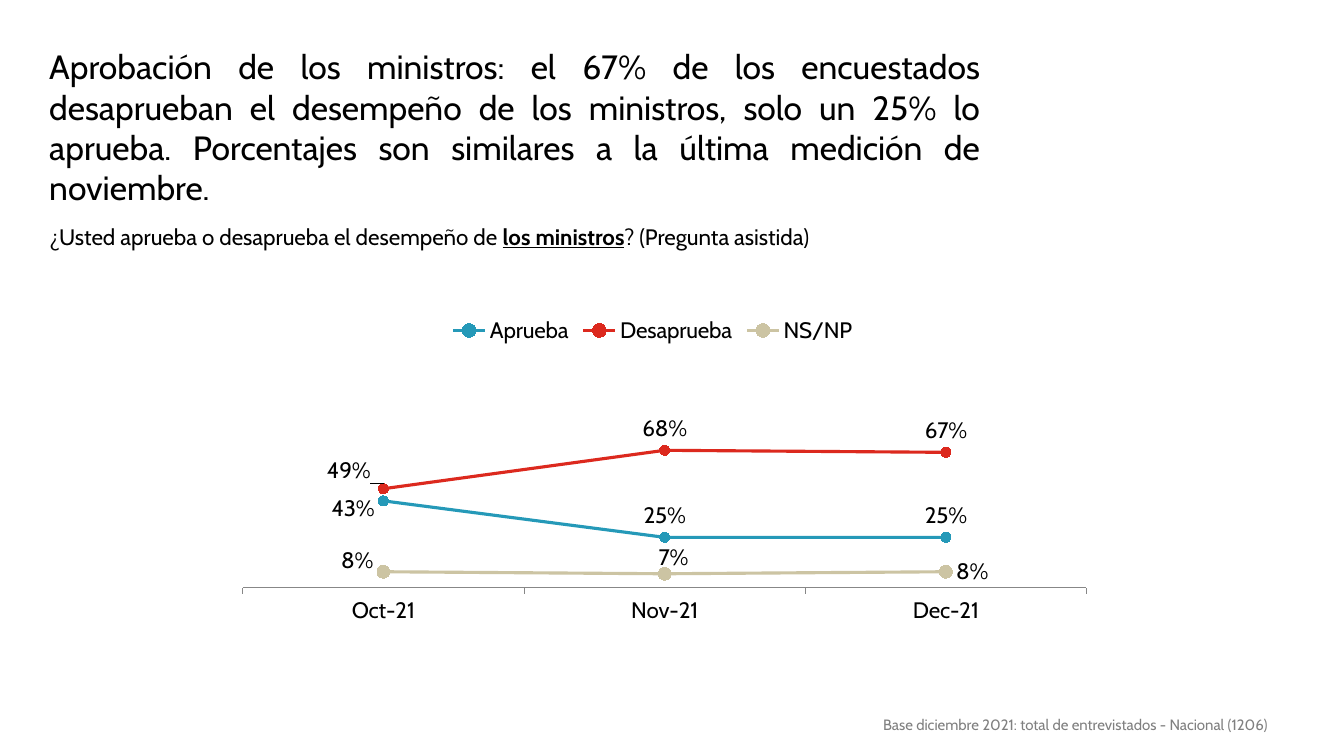
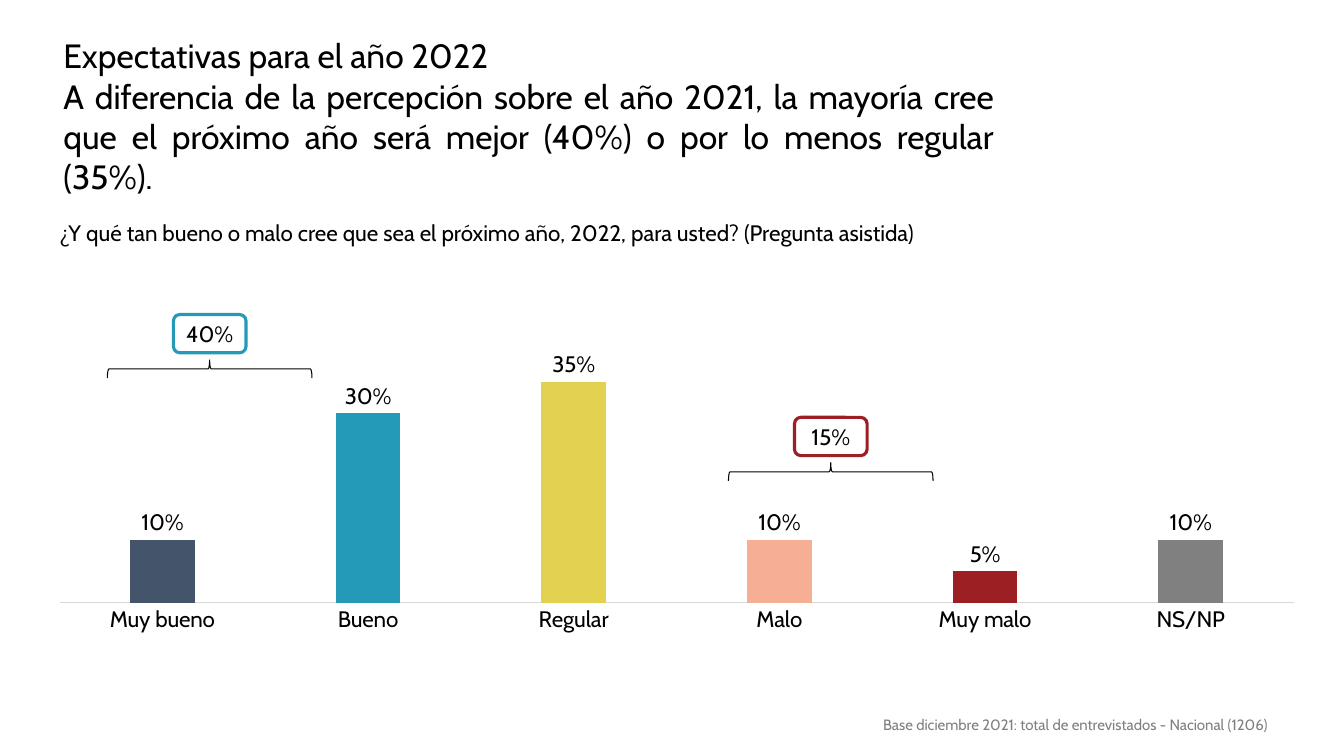
from dataclasses import dataclass

import pptx
import pptx.chart.data
import pptx.dml.color
import pptx.enum.chart
import pptx.enum.shapes
import pptx.enum.text
import pptx.oxml
import pptx.oxml.ns
import pptx.util

Inches = pptx.util.Inches
Pt = pptx.util.Pt
XL = pptx.enum.chart
LABEL = XL.XL_LABEL_POSITION
SHAPE = pptx.enum.shapes.MSO_SHAPE
ALIGN = pptx.enum.text.PP_ALIGN


@dataclass(frozen=True)
class Theme:
    font: str = "Cabin"
    black: str = "000000"
    white: str = "FFFFFF"
    gray: str = "808080"
    axis: str = "878787"
    pale_axis: str = "D9D9D9"
    navy: str = "44546A"
    blue: str = "2599B8"
    yellow: str = "E2D250"
    salmon: str = "F6AF95"
    red: str = "DC291E"
    dark_red: str = "9B1F23"
    sand: str = "CCC4A3"
    title_size: float = 24
    body_size: float = 16
    footer_size: float = 10.7


THEME = Theme()


@dataclass(frozen=True)
class Run:
    text: str
    strong: bool = False


@dataclass(frozen=True)
class LabelPlace:
    """Position of one point label, with a shift in fractions of the chart."""
    point: int
    position: LABEL
    dx: float = 0
    dy: float = 0


@dataclass(frozen=True)
class Trend:
    name: str
    values: tuple[float, ...]
    color: str
    marker_size: int
    places: tuple[LabelPlace, ...]


@dataclass(frozen=True)
class Bar:
    name: str
    value: float
    color: str


@dataclass(frozen=True)
class Bracket:
    """Sum of two neighbouring bars, centred on x, y."""
    text: str
    x: float
    y: float
    color: str


FOOTER = "Base diciembre 2021: total de entrevistados - Nacional (1206)"

MONTHS = ("Oct-21", "Nov-21", "Dec-21")
TRENDS = (
    Trend("Aprueba", (0.43, 0.25, 0.25), THEME.blue, 7,
          (LabelPlace(0, LABEL.LEFT, 0, 0.02),)),
    Trend("Desaprueba", (0.49, 0.68, 0.67), THEME.red, 7,
          (LabelPlace(0, LABEL.ABOVE, -0.04, 0.01),)),
    Trend("NS/NP", (0.08, 0.07, 0.08), THEME.sand, 9,
          (LabelPlace(0, LABEL.LEFT, 0, -0.03),
           LabelPlace(1, LABEL.ABOVE, 0.01, 0.02),
           LabelPlace(2, LABEL.RIGHT))),
)
BARS = (
    Bar("Muy bueno", 0.10, THEME.navy),
    Bar("Bueno", 0.30, THEME.blue),
    Bar("Regular", 0.35, THEME.yellow),
    Bar("Malo", 0.10, THEME.salmon),
    Bar("Muy malo", 0.05, THEME.dark_red),
    Bar("NS/NP", 0.10, THEME.gray),
)
BRACKETS = (
    Bracket("40%", 2.08, 3.31, THEME.blue),
    Bracket("15%", 8.24, 4.33, THEME.dark_red),
)


def rgb(color: str):
    return pptx.dml.color.RGBColor.from_string(color)


def style_font(font, size: float, color: str = THEME.black) -> None:
    font.name = THEME.font
    font.size = Pt(size)
    font.color.rgb = rgb(color)


def set_fill(fill, color: str) -> None:
    fill.solid()
    fill.fore_color.rgb = rgb(color)


def set_line(line, color: str, width: float) -> None:
    set_fill(line.fill, color)
    line.width = Pt(width)


def add_text(s, box, paragraphs, size, color=THEME.black, align=ALIGN.LEFT,
             spacing=None) -> None:
    """Add a text box; each paragraph is a sequence of runs."""
    tf = s.shapes.add_textbox(*map(Inches, box)).text_frame
    tf.word_wrap = True
    for i, runs in enumerate(paragraphs):
        p = tf.add_paragraph() if i else tf.paragraphs[0]
        p.alignment = align
        p.line_spacing = spacing
        style_font(p.font, size, color)
        for run in runs:
            r = p.add_run()
            r.text = run.text
            if run.strong:
                r.font.bold = r.font.underline = True


def add_slide(prs, left, top, title, question_box, question):
    """Add a slide with its title paragraphs, survey question and footer."""
    s = prs.slides.add_slide(prs.slide_layouts[6])
    add_text(s, (8.66, 7.07, 4.2, 0.26), [[Run(FOOTER)]], THEME.footer_size,
             THEME.gray, ALIGN.JUSTIFY, 0.9)
    add_text(s, (left, top, 9.43, 1.74), [[Run(t)] for t in title],
             THEME.title_size, align=ALIGN.JUSTIFY)
    add_text(s, question_box, [question], THEME.body_size)
    return s


def make_layout(x, y, w=None, h=None, inner=False, edge=True):
    parts = ['<c:layoutTarget val="inner"/>'] if inner else []
    if edge:
        parts += ['<c:xMode val="edge"/>', '<c:yMode val="edge"/>']
    parts += [f'<c:{tag} val="{value}"/>'
              for tag, value in zip("xywh", (x, y, w, h)) if value is not None]
    return pptx.oxml.parse_xml(
        f'<c:layout {pptx.oxml.ns.nsdecls("c")}><c:manualLayout>'
        f'{"".join(parts)}</c:manualLayout></c:layout>')


def add_chart(s, kind, box, categories, series, plot_box, maximum, axis_color):
    """Add a percentage chart with a hidden value axis and a fixed plot area."""
    data = pptx.chart.data.CategoryChartData(number_format="0%")
    data.categories = categories
    for name, values in series:
        data.add_series(name, values)
    chart = s.shapes.add_chart(kind, *map(Inches, box), data).chart
    chart.has_title = False
    chart.has_legend = False
    style_font(chart.font, THEME.body_size)
    chart.plots[0].vary_by_categories = False
    value_axis, category_axis = chart.value_axis, chart.category_axis
    value_axis.minimum_scale = 0
    value_axis.maximum_scale = maximum
    value_axis.has_major_gridlines = False
    value_axis.visible = False
    category_axis.has_major_gridlines = False
    category_axis.major_tick_mark = XL.XL_TICK_MARK.NONE
    style_font(category_axis.tick_labels.font, THEME.body_size)
    set_line(category_axis.format.line, axis_color, 0.75)
    area = chart.element.xpath("c:chart/c:plotArea")[0]
    for old in area.xpath("c:layout"):
        area.remove(old)
    area.insert(0, make_layout(*plot_box, inner=True))
    return chart


def show_values(series, position) -> None:
    labels = series.data_labels
    labels.show_value = True
    labels.number_format = "0%"
    labels.number_format_is_linked = False
    labels.position = position
    style_font(labels.font, THEME.body_size)


def place_label(series, place: LabelPlace) -> None:
    label = series.points[place.point].data_label
    style_font(label.font, THEME.body_size)
    label.position = place.position
    if place.dx or place.dy:
        query = f'c:dLbls/c:dLbl/c:idx[@val="{place.point}"]'
        idx = series.format._element.xpath(query)[0]
        idx.addnext(make_layout(place.dx, place.dy, edge=False))


def add_trend_chart(s) -> None:
    chart = add_chart(s, XL.XL_CHART_TYPE.LINE_MARKERS, (2.27, 2.96, 8.61, 3.62),
                      MONTHS, [(t.name, t.values) for t in TRENDS],
                      (0.016, 0.35, 0.972, 0.444), 0.8, THEME.axis)
    chart.category_axis.major_tick_mark = XL.XL_TICK_MARK.OUTSIDE
    chart.has_legend = True
    legend = chart.legend
    legend.position = XL.XL_LEGEND_POSITION.TOP
    legend.include_in_layout = False
    style_font(legend.font, THEME.body_size)
    position = chart.element.xpath("c:chart/c:legend/c:legendPos")[0]
    position.addnext(make_layout(0.25, 0.04))
    for trend, series in zip(TRENDS, chart.series):
        series.smooth = False
        set_line(series.format.line, trend.color, 2.25)
        marker = series.marker
        marker.style = XL.XL_MARKER_STYLE.CIRCLE
        marker.size = trend.marker_size
        set_fill(marker.format.fill, trend.color)
        set_line(marker.format.line, trend.color, 0.75)
        show_values(series, LABEL.ABOVE)
        for place in trend.places:
            place_label(series, place)


def add_bar_chart(s) -> None:
    chart = add_chart(s, XL.XL_CHART_TYPE.COLUMN_CLUSTERED,
                      (0.44, 3.05, 12.54, 4.22), [b.name for b in BARS],
                      [("Series 1", [b.value for b in BARS])],
                      (0.012, 0.1, 0.976, 0.595), 0.4, THEME.pale_axis)
    plot = chart.plots[0]
    plot.gap_width = 219
    plot.overlap = -27
    series = plot.series[0]
    set_fill(series.format.fill, THEME.blue)
    for i, bar in enumerate(BARS):
        set_fill(series.points[i].format.fill, bar.color)
    show_values(series, LABEL.OUTSIDE_END)


def add_centred(s, kind, x, y, w, h, color, width):
    sp = s.shapes.add_shape(kind, *map(Inches, (x - w / 2, y - h / 2, w, h)))
    sp.shadow.inherit = False
    set_line(sp.line, color, width)
    return sp


def add_bracket(s, bracket: Bracket) -> None:
    brace = add_centred(s, SHAPE.RIGHT_BRACE, bracket.x, bracket.y + 0.35,
                        0.18, 2.03, THEME.black, 0.75)
    brace.fill.background()
    brace.rotation = 270
    sp = add_centred(s, SHAPE.ROUNDED_RECTANGLE, bracket.x, bracket.y,
                     0.72, 0.38, bracket.color, 2.25)
    set_fill(sp.fill, THEME.white)
    tf = sp.text_frame
    tf.vertical_anchor = pptx.enum.text.MSO_ANCHOR.MIDDLE
    p = tf.paragraphs[0]
    p.text = bracket.text
    p.alignment = ALIGN.CENTER
    p.space_before = Pt(3)
    style_font(p.font, THEME.body_size)


def main() -> None:
    prs = pptx.Presentation()
    prs.slide_width, prs.slide_height = Inches(13.33), Inches(7.5)

    s = add_slide(
        prs, 0.39, 0.41,
        ["Aprobación de los ministros: el 67% de los encuestados desaprueban el "
         "desempeño de los ministros, solo un 25% lo aprueba. Porcentajes son "
         "similares a la última medición de noviembre."],
        (0.39, 2.16, 8.18, 0.37),
        [Run("¿Usted aprueba o desaprueba el desempeño de "),
         Run("los ministros", strong=True), Run("? (Pregunta asistida)")])
    add_trend_chart(s)

    s = add_slide(
        prs, 0.53, 0.3,
        ["Expectativas para el año 2022",
         "A diferencia de la percepción sobre el año 2021, la mayoría cree que el "
         "próximo año será mejor (40%) o por lo menos regular (35%)."],
        (0.49, 2.13, 12.13, 0.37),
        [Run("¿Y qué tan bueno o malo cree que sea el próximo año, 2022, para "
             "usted? (Pregunta asistida)")])
    add_bar_chart(s)
    for bracket in BRACKETS:
        add_bracket(s, bracket)

    prs.save("out.pptx")


if __name__ == "__main__":
    main()
